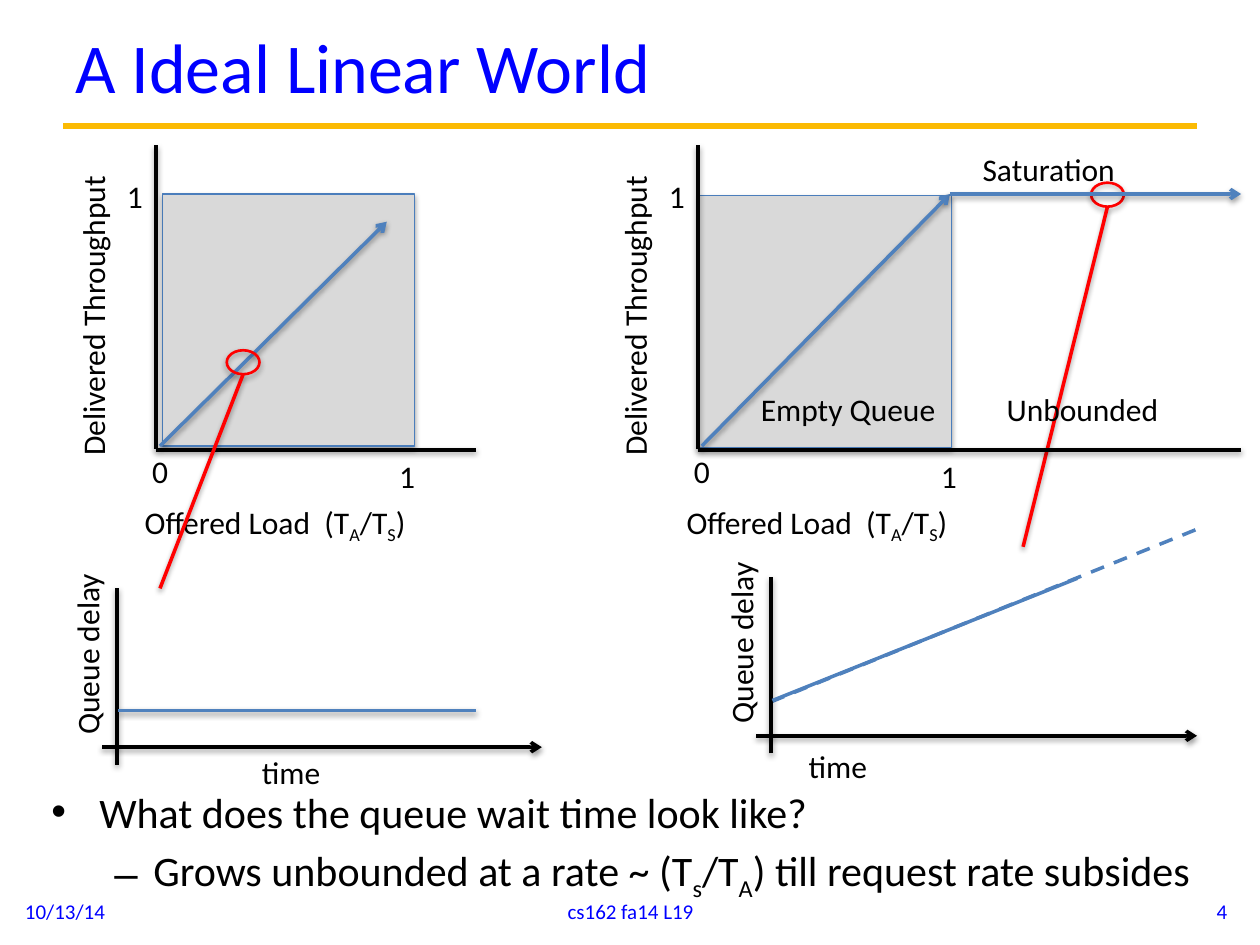
from dataclasses import dataclass

from lxml import etree
from pptx import Presentation
from pptx import util as u
from pptx.dml.color import RGBColor
from pptx.enum import dml, shapes, text
from pptx.oxml import ns

PX = 9144  # 100 px to the inch
LEFT, MID, RIGHT = text.PP_ALIGN.LEFT, text.PP_ALIGN.CENTER, text.PP_ALIGN.RIGHT
LOAD = ["Offered Load  (T", "A", "/T", "S", ")"]


@dataclass(frozen=True)
class Theme:
    font: str = "Calibri"
    ink: str = "000000"
    head: str = "0000FF"
    rule: str = "FBBA03"
    blue: str = "4F81BD"
    edge: str = "4B7EBC"
    gray: str = "D9D9D9"
    red: str = "FF0000"
    title: int = 40
    body: int = 24
    label: int = 18
    foot: int = 12


def px(*nums):
    return [u.Emu(n * PX) for n in nums]


def rgb(color):
    return RGBColor.from_string(color)


def node(parent, tag, **attrs):
    child = etree.SubElement(parent, ns.qn(tag))
    for key, val in attrs.items():
        child.set(key, str(val))
    return child


class Deck:
    def __init__(self, theme):
        self.t = theme
        self.prs = Presentation()
        self.prs.slide_width, self.prs.slide_height = px(1000, 750)
        self.slide = self.prs.slides.add_slide(self.prs.slide_layouts[6])

    def shade(self, item, dist, alpha):
        """Soft shadow straight below; no alpha leaves the item flat."""
        props = item._element.spPr
        list_ = props.find(ns.qn("a:effectLst"))
        if list_ is None:
            list_ = node(props, "a:effectLst")
        if alpha:
            cast = node(list_, "a:outerShdw", blurRad=40000, dist=dist,
                        dir=5400000, rotWithShape=0)
            tint = node(cast, "a:srgbClr", val=self.t.ink)
            node(tint, "a:alpha", val=alpha * 1000)

    def line(self, x1, y1, x2, y2, color=None, wide=2, arrow=False,
             dash=False, shadow=True):
        item = self.slide.shapes.add_connector(
            shapes.MSO_CONNECTOR.STRAIGHT, *px(x1, y1, x2, y2))
        item.line.color.rgb = rgb(color or self.t.ink)
        item.line.width = u.Pt(wide)
        if dash:
            item.line.dash_style = dml.MSO_LINE.DASH
        if arrow:
            node(item.line._get_or_add_ln(), "a:tailEnd", type="arrow")
        self.shade(item, 20000, 38 if shadow else 0)

    def shape(self, kind, x, y, w, h, edge, wide, fill=None):
        item = self.slide.shapes.add_shape(kind, *px(x, y, w, h))
        if fill:
            item.fill.solid()
            item.fill.fore_color.rgb = rgb(fill)
        else:
            item.fill.background()
        item.line.color.rgb = rgb(edge)
        item.line.width = u.Pt(wide)
        item.shadow.inherit = False
        self.shade(item, 23000, 35)

    def runs(self, para, parts, size, color):
        """Write the parts in turn; every second one is a subscript."""
        for i, part in enumerate(parts):
            run = para.add_run()
            run.text = part
            run.font.name = self.t.font
            run.font.size = u.Pt(size)
            run.font.color.rgb = rgb(color)
            if i % 2:
                run._r.get_or_add_rPr().set("baseline", "-25000")

    def box(self, x, y, w, h, parts, size, color, align=LEFT):
        item = self.slide.shapes.add_textbox(*px(x, y, w, h))
        frame = item.text_frame
        frame.word_wrap = True
        frame.vertical_anchor = text.MSO_ANCHOR.MIDDLE
        frame.paragraphs[0].alignment = align
        self.runs(frame.paragraphs[0], parts, size, color)

    def label(self, x, y, w, parts, turn=0):
        item = self.slide.shapes.add_textbox(*px(x, y, w, 40))
        item.rotation = turn
        frame = item.text_frame
        frame.word_wrap = False
        frame.auto_size = text.MSO_AUTO_SIZE.SHAPE_TO_FIT_TEXT
        self.runs(frame.paragraphs[0], parts, self.t.label, self.t.ink)

    def list(self, x, y, w, h, rows):
        frame = self.slide.shapes.add_textbox(*px(x, y, w, h)).text_frame
        frame.word_wrap = True
        for i, (mark, left, hang, parts) in enumerate(rows):
            para = frame.add_paragraph() if i else frame.paragraphs[0]
            para.level = i
            para.space_before = u.Pt(self.t.body * 0.2)
            props = para._p.get_or_add_pPr()
            props.set("marL", str(left * PX))
            props.set("indent", str(-hang * PX))
            node(props, "a:buFont", typeface="Arial")
            node(props, "a:buChar", char=mark)
            self.runs(para, parts, self.t.body, self.t.ink)

    def load(self, dx, end, square):
        """Throughput against load, moved right by dx, axis up to end."""
        self.shape(shapes.MSO_SHAPE.RECTANGLE, *square, 200, 200,
                   self.t.edge, 0.75, self.t.gray)
        self.line(dx + 124, 356, dx + 124, 115)
        self.line(dx + 124, 357, end, 357)
        self.label(dx - 49, 229, 245, ["Delivered Throughput"], 270)
        for mark, x, y in (("0", 111, 354), ("1", 307, 358), ("1", 91, 136)):
            self.label(dx + x, y, 33, [mark])
        self.label(dx + 105, 394, 235, LOAD)

    def delay(self, x, y, end, word):
        """Delay against time; the axes cross at x, y."""
        self.line(x - 12, y, end, y, arrow=True)
        self.line(x, y + 14, x, y - 126)
        self.label(*word, 67, ["time"])
        self.label(x - 99, y - 95, 150, ["Queue delay"], 270)

    def probe(self, x, y, x2, y2):
        """Ring on a curve with a lead down to its delay plot."""
        self.shape(shapes.MSO_SHAPE.OVAL, x - 13, y, 26, 19, self.t.red, 1.5)
        self.line(x, y + 19, x2, y2, self.t.red)


def main():
    t = Theme()
    d = Deck(t)

    # Title and rule
    d.line(50, 100, 950, 100, t.rule, 3.75, shadow=False)
    d.box(50, 4, 900, 96, ["A Ideal Linear World"], t.title, t.head)

    # Closing points
    d.list(31, 619, 954, 73, [
        ("•", 38, 38, ["What does the queue wait time look like?"]),
        ("–", 81, 31, ["Grows unbounded at a rate ~ (T", "s", "/T", "A",
                       ") till request rate subsides"]),
    ])

    # Footer
    for x, w, word, align in ((10, 233, "10/13/14", LEFT),
                              (342, 317, "cs162 fa14 L19", MID),
                              (751, 233, "4", RIGHT)):
        d.box(x, 703, w, 40, [word], t.foot, t.head, align)

    # Left: below saturation
    d.load(0, 378, (129, 154))
    d.line(127, 354, 307, 176, t.blue, arrow=True)
    d.delay(93, 593, 430, (198, 593))
    d.line(94, 564, 378, 564, t.blue)
    d.probe(193, 278, 127, 467)

    # Right: delay past saturation
    d.line(612, 557, 950, 420, t.blue, dash=True, shadow=False)
    d.delay(612, 584, 950, (632, 588))
    d.line(613, 556, 855, 459, t.blue, shadow=False)
    d.probe(879, 145, 812, 434)

    # Right: throughput up to saturation
    d.load(430, 985, (555, 155))
    d.line(557, 354, 754, 154, t.blue, arrow=True)
    d.line(754, 154, 985, 154, t.blue, arrow=True)
    d.label(594, 305, 160, ["Empty Queue"])
    d.label(770, 114, 127, ["Saturation"])
    d.label(789, 305, 142, ["Unbounded"])

    d.prs.save("out.pptx")


if __name__ == "__main__":
    main()
